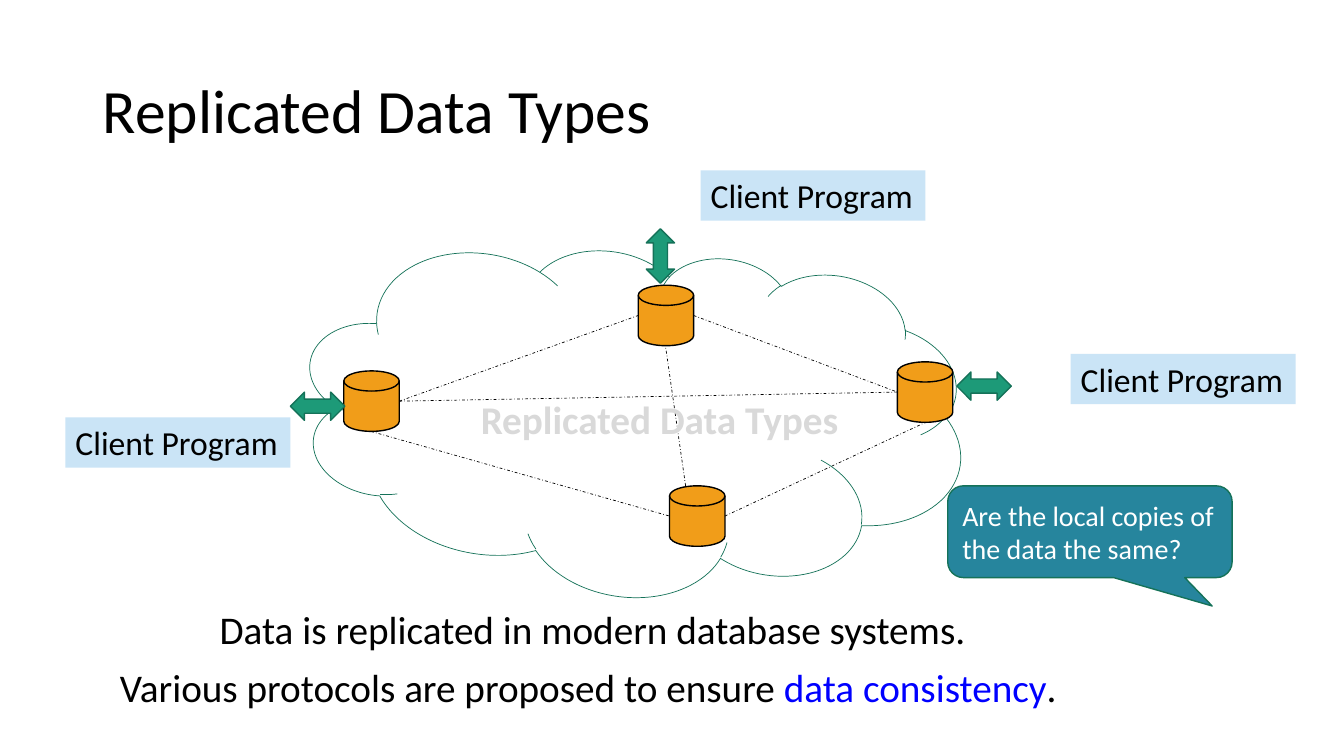
from typing import NamedTuple

from lxml import etree
from pptx import Presentation
from pptx.dml.color import RGBColor
from pptx.enum.dml import MSO_LINE
from pptx.enum.shapes import MSO_CONNECTOR, MSO_SHAPE
from pptx.enum.text import MSO_ANCHOR, MSO_AUTO_SIZE, PP_ALIGN
from pptx.oxml.ns import qn
from pptx.util import Pt

PX = 9144  # EMU per px, 100 px to the inch
FONT = "Calibri"

BLACK = RGBColor(0x00, 0x00, 0x00)
WHITE = RGBColor(0xFF, 0xFF, 0xFF)
GRAY = RGBColor(0xD9, 0xD9, 0xD9)
BLUE = RGBColor(0x00, 0x00, 0xFF)
PALE = RGBColor(0xCA, 0xE4, 0xF6)
ORANGE = RGBColor(0xF1, 0x9D, 0x19)
GREEN = RGBColor(0x1D, 0x9A, 0x78)
DARK = RGBColor(0x15, 0x72, 0x59)
TEAL = RGBColor(0x26, 0x85, 0x9D)

CLOUD = MSO_SHAPE.CLOUD
DISK = MSO_SHAPE.FLOWCHART_MAGNETIC_DISK
ARROW = MSO_SHAPE.LEFT_RIGHT_ARROW
RECT = MSO_SHAPE.RECTANGLE
CALLOUT = MSO_SHAPE.ROUNDED_RECTANGULAR_CALLOUT
STRAIGHT = MSO_CONNECTOR.STRAIGHT
DASH_DOT = MSO_LINE.DASH_DOT
LEFT = PP_ALIGN.LEFT
TOP = MSO_ANCHOR.TOP
MIDDLE = MSO_ANCHOR.MIDDLE
GROW = MSO_AUTO_SIZE.SHAPE_TO_FIT_TEXT
FIXED = MSO_AUTO_SIZE.NONE


class Box(NamedTuple):
    x: int
    y: int
    w: int
    h: int


class Port(NamedTuple):
    """A point on a disk, as shares of its width and height."""
    disk: str
    across: float
    down: float


class Link(NamedTuple):
    start: Port
    end: Port


class Arrow(NamedTuple):
    box: Box
    turn: int


class Note(NamedTuple):
    box: Box
    text: str
    color: RGBColor
    bold: bool


DISKS = {
    "west": Box(341, 368, 55, 60),
    "north": Box(633, 283, 55, 60),
    "east": Box(890, 359, 55, 60),
    "south": Box(664, 482, 55, 60),
}
LINKS = [
    Link(Port("west", 1, 0.5), Port("north", 0, 0.5)),
    Link(Port("north", 1, 0.5), Port("east", 0, 0.5)),
    Link(Port("west", 0.5, 1), Port("south", 0, 0.5)),
    Link(Port("south", 1, 0.5), Port("east", 0.5, 1)),
    Link(Port("west", 1, 0.5), Port("east", 0, 0.5)),
    Link(Port("south", 0.3, 0), Port("north", 0.5, 1)),
]
ARROWS = [
    Arrow(Box(288, 389, 54, 28), 0),
    Arrow(Box(949, 369, 54, 28), 0),
    Arrow(Box(628, 240, 54, 28), 90),
]
CLIENTS = [Box(695, 169, 223, 50), Box(1062, 351, 223, 50), Box(65, 414, 223, 50)]
NOTES = [
    Note(Box(208, 596, 768, 57), "Data is replicated in modern database systems.", BLACK, False),
    Note(Box(467, 387, 379, 57), "Replicated Data Types", GRAY, True),
]
PROTOCOLS = Box(109, 653, 958, 57)


def scale(box):
    return [value * PX for value in box]


def write(shape, text: str, size: int, color: RGBColor, anchor=TOP, wrap=False, fit=GROW):
    """Set one left-aligned paragraph and return it."""
    frame = shape.text_frame
    frame.word_wrap = wrap
    frame.auto_size = fit
    frame.vertical_anchor = anchor
    para = frame.paragraphs[0]
    para.text = text
    para.alignment = LEFT
    para.font.name = FONT
    para.font.size = Pt(size)
    para.font.color.rgb = color
    return para


def draw(slide, kind, box: Box, fill=None, line=None, width: float = 1):
    shape = slide.shapes.add_shape(kind, *scale(box))
    shape.shadow.inherit = False
    if fill is None:
        shape.fill.background()
    else:
        shape.fill.solid()
        shape.fill.fore_color.rgb = fill
    if line is None:
        shape.line.fill.background()
    else:
        shape.line.color.rgb = line
        shape.line.width = Pt(width)
    return shape


def locate(port: Port) -> list[int]:
    box = DISKS[port.disk]
    return scale((round(box.x + port.across * box.w), round(box.y + port.down * box.h)))


def connect(slide, link: Link):
    line = slide.shapes.add_connector(STRAIGHT, *locate(link.start), *locate(link.end))
    line.line.color.rgb = BLACK
    line.line.width = Pt(0.5)
    line.line.dash_style = DASH_DOT
    etree.SubElement(line._element.spPr, qn("a:effectLst"))


def add_note(slide, note: Note):
    box = slide.shapes.add_textbox(*scale(note.box))
    para = write(box, note.text, 28, note.color)
    para.font.bold = note.bold


def add_title(slide):
    title = slide.shapes.title
    title.left, title.top, title.width, title.height = scale(Box(92, 40, 1150, 145))
    para = write(title, "Replicated Data Types", 44, BLACK, MIDDLE, True, FIXED)
    para.line_spacing = 0.9


def add_protocols(slide):
    box = slide.shapes.add_textbox(*scale(PROTOCOLS))
    para = write(box, "Various protocols are proposed to ensure ", 28, BLACK)
    term = para.add_run()
    term.text = "data consistency"
    term.font.color.rgb = BLUE
    para.add_run().text = "."


def add_question(slide):
    bubble = draw(slide, CALLOUT, Box(940, 482, 282, 91), TEAL, DARK)
    for index, value in enumerate((0.43, 0.81, 0.17)):
        bubble.adjustments[index] = value
    write(bubble, "Are the local copies of the data the same?", 20, WHITE, MIDDLE, True, FIXED)


def main():
    deck = Presentation()
    deck.slide_width, deck.slide_height = scale((1333, 750))
    slide = deck.slides.add_slide(deck.slide_layouts[5])
    add_title(slide)
    cloud = draw(slide, CLOUD, Box(303, 244, 652, 347), line=DARK, width=0.5)
    cloud.rotation = 8.6
    for box in DISKS.values():
        draw(slide, DISK, box, ORANGE, BLACK)
    for arrow in ARROWS:
        draw(slide, ARROW, arrow.box, GREEN, DARK).rotation = arrow.turn
    for link in LINKS:
        connect(slide, link)
    for box in CLIENTS:
        write(draw(slide, RECT, box, PALE), "Client Program", 24, BLACK)
    add_protocols(slide)
    add_question(slide)
    for note in NOTES:
        add_note(slide, note)
    deck.save("out.pptx")


if __name__ == "__main__":
    main()
